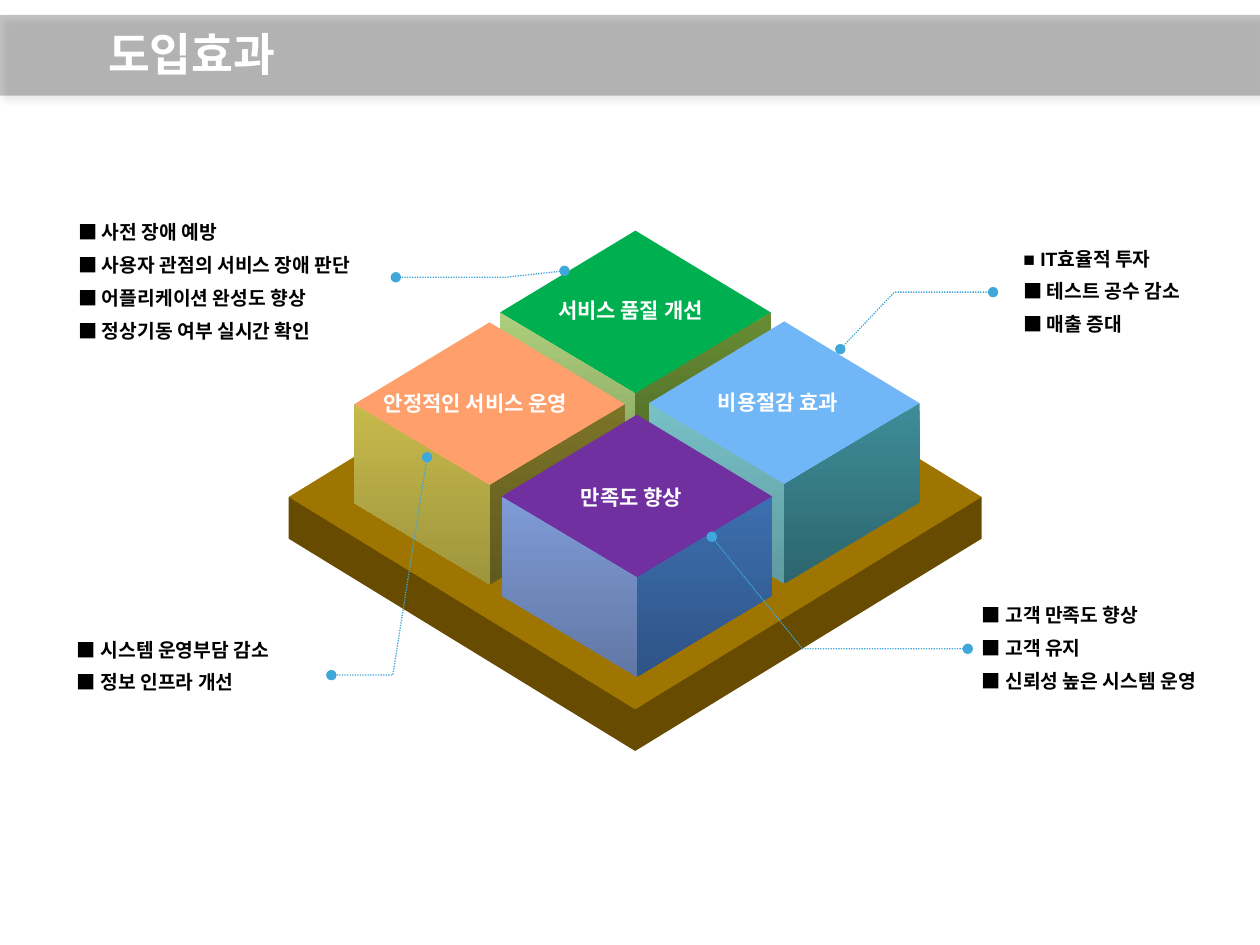
import pptx
import pptx.dml.color
import pptx.enum.dml
import pptx.enum.shapes
import pptx.enum.text
import pptx.oxml.ns
import pptx.oxml.xmlchemy
import pptx.util
from pptx.util import Cm

SHAPE = pptx.enum.shapes.MSO_SHAPE
qn = pptx.oxml.ns.qn

# Content; all lengths in cm
COLORS = {"black": "000000", "white": "FFFFFF", "callout": "40A7DA",
          "base_top": "9E7500", "base_side": "664B00"}
TITLE = "도입효과"
BASE = {"left": 5.82, "top": 5.74, "width": 13.97, "height": 8.56, "depth": 0.84}
CUBE = {"width": 5.46, "height": 3.3, "side": 3.63}

# Left, top, top colour, left face gradient, right face gradient
CUBES = [
    (10.08, 4.65, "00B050", ("ADCE7C", "849E5F"), ("688C34", "4A6425")),
    (13.08, 6.48, "71B6F7", ("77C1C7", "609BA0"), ("3E8D98", "2C656D")),
    (7.14, 6.5, "FF9F6B", ("C6BA4C", "9F953D"), ("7B7327", "615A1F")),
    (10.11, 8.36, "7030A0", ("7F9CD7", "6177A5"), ("3D6EAF", "2F5486")),
]
# Text, left, top, width, wrap
CUBE_LABELS = [
    ("서비스 품질 개선", 11, 5.87, 4.06, True),
    ("비용절감 효과", 14.22, 7.72, 3.23, False),
    ("만족도 향상", 11.46, 9.63, 2.79, False),
    ("안정적인 서비스 운영", 7.49, 7.75, 4.67, False),
]
# Box and lines of each list of effects
EFFECTS = [
    ((20.35, 4.85, 4.55, 2.16), ["IT효율적 투자", "테스트 공수 감소", "매출 증대"]),
    ((1.3, 4.32, 6.68, 3.56), ["사전 장애 예방", "사용자 관점의 서비스 장애 판단",
                               "어플리케이션 완성도 향상", "정상기동 여부 실시간 확인"]),
    ((1.27, 12.73, 5.18, 1.45), ["시스템 운영부담 감소", "정보 인프라 개선"]),
    ((19.51, 12.04, 5.59, 2.16), ["고객 만족도 향상", "고객 유지",
                                  "신뢰성 높은 시스템 운영"]),
]
# Points from the cube to the list
CALLOUTS = [
    [(16.94, 7.04), (18.03, 5.89), (20.02, 5.89)],
    [(11.38, 5.46), (10.19, 5.59), (7.98, 5.59)],
    [(14.35, 10.82), (16.18, 13.08), (19.51, 13.08)],
    [(8.61, 9.22), (7.92, 13.61), (6.68, 13.61)],
]


def rgb(value):
    return pptx.dml.color.RGBColor.from_string(value)


def add_xml(parent, tag, **attributes):
    child = pptx.oxml.xmlchemy.OxmlElement(tag)
    for key, value in attributes.items():
        child.set(key, str(value))
    parent.append(child)
    return child


def add_block(shapes, kind, left, top, width, height, color=None, gradient=None):
    block = shapes.add_shape(kind, Cm(left), Cm(top), Cm(width), Cm(height))
    block.shadow.inherit = False
    block.line.fill.background()
    if gradient:
        block.fill.gradient()
        block.fill.gradient_angle = 0
        for stop, value in zip(block.fill.gradient_stops, gradient):
            stop.color.rgb = rgb(value)
    else:
        block.fill.solid()
        block.fill.fore_color.rgb = rgb(color)
    return block


def add_text(shapes, lines, left, top, width, height, size, color="black", wrap=True,
             inset=0.25, hanging=0, space_before=0, line_spacing=None, middle=False):
    box = shapes.add_textbox(Cm(left), Cm(top), Cm(width), Cm(height))
    frame = box.text_frame
    frame.word_wrap = wrap
    frame.margin_left = frame.margin_right = Cm(inset)
    frame.margin_top = frame.margin_bottom = Cm(0.13)
    if middle:
        frame.vertical_anchor = pptx.enum.text.MSO_ANCHOR.MIDDLE
    else:
        frame.auto_size = pptx.enum.text.MSO_AUTO_SIZE.SHAPE_TO_FIT_TEXT
    for index, line in enumerate(lines):
        paragraph = frame.add_paragraph() if index else frame.paragraphs[0]
        if line_spacing:
            paragraph.line_spacing = line_spacing
        properties = paragraph._p.get_or_add_pPr()
        if hanging:
            properties.set("marL", str(Cm(hanging)))
            properties.set("indent", str(-Cm(hanging)))
        if space_before and index:
            add_xml(add_xml(properties, "a:spcBef"), "a:spcPct", val=space_before * 1000)
        run = paragraph.add_run()
        run.text = line
        run.font.name = "Arial"
        run.font.size = pptx.util.Pt(size)
        run.font.bold = True
        run.font.color.rgb = rgb(COLORS[color])


def add_banner(shapes):
    banner = add_block(shapes, SHAPE.RECTANGLE, 0, 0.3, 25.4, 1.63, COLORS["black"])
    properties = banner._element.spPr
    fill_color = properties.find(qn("a:solidFill")).find(qn("a:srgbClr"))
    add_xml(fill_color, "a:alpha", val=23000)
    shadow = add_xml(properties.find(qn("a:effectLst")), "a:outerShdw",
                     blurRad=pptx.util.Pt(4), dist=pptx.util.Pt(3), dir=45 * 60000,
                     algn="tl", rotWithShape=0)
    add_xml(add_xml(shadow, "a:srgbClr", val=COLORS["black"]), "a:alpha", val=40000)


def add_base(shapes):
    left, top, width, height, depth = BASE.values()
    add_block(shapes, SHAPE.DIAMOND, left, top + depth, width, height, COLORS["base_side"])
    add_block(shapes, SHAPE.RECTANGLE, left, top + height / 2, width, depth,
              COLORS["base_side"])
    add_block(shapes, SHAPE.DIAMOND, left, top, width, height, COLORS["base_top"])


def add_cube(shapes, left, top, color, left_gradient, right_gradient):
    width, height, side = CUBE.values()
    group = shapes.add_group_shape().shapes
    add_block(group, SHAPE.DIAMOND, left, top, width, height, color)
    faces = [(0.25, 90, left_gradient), (0.75, 270, right_gradient)]
    for position, rotation, gradient in faces:
        face = add_block(group, SHAPE.PARALLELOGRAM,
                         left + width * position - side / 2,
                         top + height / 2 + side / 2 - width / 4,
                         side, width / 2, gradient=gradient)
        face.adjustments[0] = 0.6
        face.rotation = rotation
        if rotation == 270:
            face._element.spPr.find(qn("a:xfrm")).set("flipH", "1")


def add_callout(shapes, points):
    start, *rest = [(Cm(x), Cm(y)) for x, y in points]
    builder = shapes.build_freeform(*start)
    builder.add_line_segments(rest, close=False)
    callout = builder.convert_to_shape()
    callout.shadow.inherit = False
    callout.fill.background()
    callout.line.color.rgb = rgb(COLORS["callout"])
    callout.line.width = pptx.util.Pt(0.75)
    callout.line.dash_style = pptx.enum.dml.MSO_LINE.ROUND_DOT
    outline = callout._element.spPr.find(qn("a:ln"))
    for end in ("a:headEnd", "a:tailEnd"):
        add_xml(outline, end, type="oval")


def main():
    presentation = pptx.Presentation()
    presentation.slide_width, presentation.slide_height = Cm(25.4), Cm(19.05)
    shapes = presentation.slides.add_slide(presentation.slide_layouts[6]).shapes

    # Title banner
    add_banner(shapes)
    add_text(shapes, [TITLE], 1.93, 0.53, 23.47, 1.3, size=26, color="white",
             line_spacing=0.78, middle=True)

    # Base and cubes
    add_base(shapes)
    for cube in CUBES:
        add_cube(shapes, *cube)

    # Effects with their callouts
    for box, lines in EFFECTS:
        add_text(shapes, [f"■ {line}" for line in lines], *box, size=11,
                 inset=0.28, hanging=0.41, space_before=50)
    for points in CALLOUTS:
        add_callout(shapes, points)

    # Cube labels
    for label, left, top, width, wrap in CUBE_LABELS:
        add_text(shapes, [label], left, top, width, 0.76, size=12, color="white", wrap=wrap)

    presentation.save("out.pptx")


if __name__ == "__main__":
    main()
